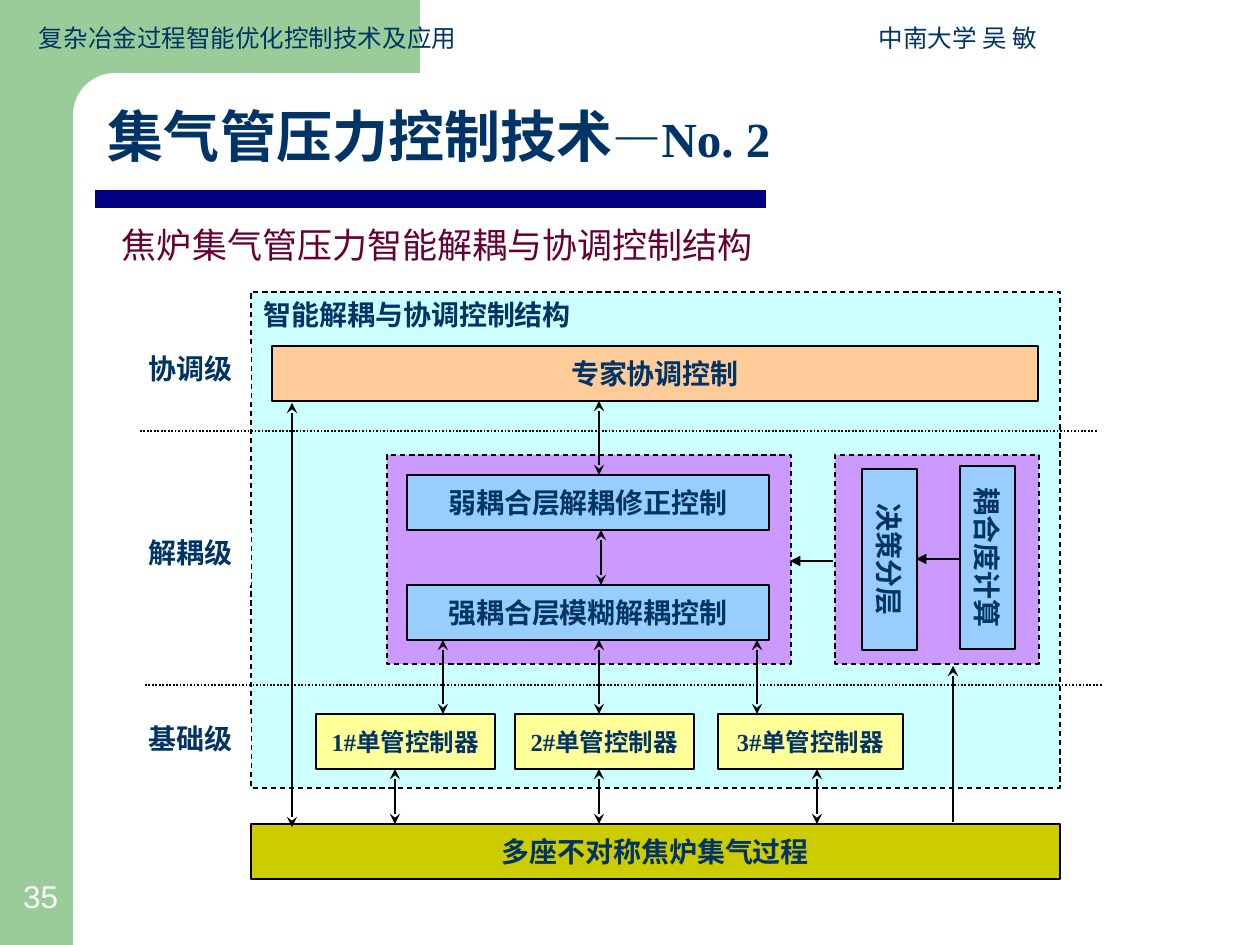
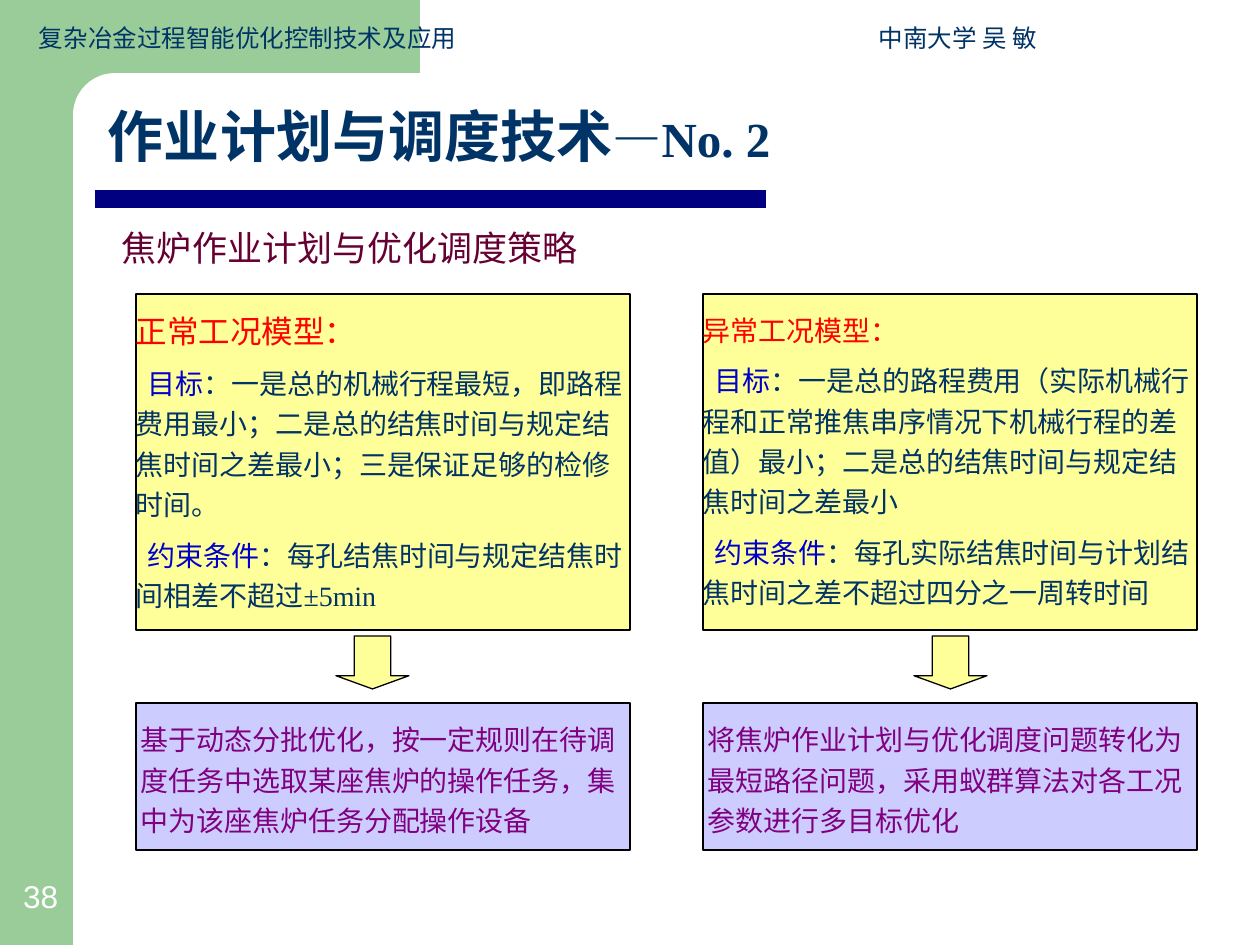
from dataclasses import dataclass
from typing import Optional

from lxml import etree
from pptx import Presentation
from pptx import util as u
from pptx.dml.color import RGBColor
from pptx.enum import dml, shapes, text
from pptx.oxml import ns

PX = 914400 / 126  # EMU in one px
WIDE, HIGH = 1260, 945

NAVY = RGBColor(0x00, 0x33, 0x66)
WINE = RGBColor(0x66, 0x00, 0x33)
BAR = RGBColor(0x00, 0x00, 0x80)
GREEN = RGBColor(0x99, 0xCC, 0x99)
WHITE = RGBColor(0xFF, 0xFF, 0xFF)
BLACK = RGBColor(0x00, 0x00, 0x00)
CYAN = RGBColor(0xCC, 0xFF, 0xFF)
VIOLET = RGBColor(0xCC, 0x99, 0xFF)
YELLOW = RGBColor(0xFF, 0xFF, 0x99)
OLIVE = RGBColor(0xCC, 0xCC, 0x00)
SKY = RGBColor(0x99, 0xCC, 0xFF)
PEACH = RGBColor(0xFF, 0xCC, 0x99)
LILAC = RGBColor(0xCC, 0xCC, 0xFF)
PURPLE = RGBColor(0x80, 0x00, 0x80)
RED = RGBColor(0xFF, 0x00, 0x00)
BLUE = RGBColor(0x00, 0x00, 0xCC)

ARIAL, TIMES, NOTO = "Arial", "Times New Roman", "Noto Sans CJK SC"
KIND = shapes.MSO_SHAPE
LEFT, MID = text.PP_ALIGN.LEFT, text.PP_ALIGN.CENTER
TOP, CENTRE, LOW = (text.MSO_ANCHOR.TOP, text.MSO_ANCHOR.MIDDLE,
                    text.MSO_ANCHOR.BOTTOM)
DASH, DOT = dml.MSO_LINE.DASH, dml.MSO_LINE.ROUND_DOT
INSET = (13, 6, 13, 6)


@dataclass
class Run:
    words: str
    size: int = 16
    ink: RGBColor = NAVY
    face: str = TIMES
    bold: bool = False


@dataclass
class Para:
    runs: list[Run]
    before: int = 0
    indent: int = 0
    pitch: Optional[float] = None


@dataclass
class Node:
    at: tuple[int, int, int, int]
    fill: RGBColor
    words: str = ""
    size: int = 16
    face: str = TIMES
    align: text.PP_ALIGN = MID
    anchor: text.MSO_ANCHOR = CENTRE
    line: Optional[RGBColor] = BLACK
    dash: Optional[dml.MSO_LINE] = None
    turn: int = 0


@dataclass
class Link:
    start: tuple[int, int]
    end: tuple[int, int]
    head: str = ""
    tail: str = ""


@dataclass
class Case:
    left: int
    arrow: int
    model: list[Para]
    method: str


def px(num: float) -> u.Emu:
    return u.Emu(round(num * PX))


def write(frame, paras: list[Para], align=LEFT, anchor=TOP,
          inset=INSET, wrap=True) -> None:
    """Fill a text frame with formatted paragraphs."""
    frame.auto_size = text.MSO_AUTO_SIZE.NONE
    frame.word_wrap = wrap
    frame.vertical_anchor = anchor
    (frame.margin_left, frame.margin_top,
     frame.margin_right, frame.margin_bottom) = map(px, inset)
    for num, para in enumerate(paras):
        par = frame.add_paragraph() if num else frame.paragraphs[0]
        par.alignment = align
        par.space_before = u.Pt(para.before)
        if para.pitch:
            par.line_spacing = para.pitch
        if para.indent:
            par._p.get_or_add_pPr().set("indent", str(px(para.indent)))
        for item in para.runs:
            run = par.add_run()
            run.text = item.words
            font = run.font
            font.size, font.bold = u.Pt(item.size), item.bold
            font.color.rgb, font.name = item.ink, item.face
            # East Asian face sits right after the Latin one
            east = etree.SubElement(run._r.get_or_add_rPr(), ns.qn("a:ea"))
            east.set("typeface", NOTO)


def shape(slide, kind, at, fill: RGBColor, line=None, dash=None):
    item = slide.shapes.add_shape(kind, *map(px, at))
    item.shadow.inherit = False
    item.fill.solid()
    item.fill.fore_color.rgb = fill
    if line is None:
        item.line.fill.background()
    else:
        item.line.color.rgb = line
        item.line.width = u.Pt(0.75)
        if dash:
            item.line.dash_style = dash
    return item


def label(slide, at, paras: list[Para], **style):
    box = slide.shapes.add_textbox(*map(px, at))
    write(box.text_frame, paras, **style)
    return box


def node(slide, part: Node) -> None:
    item = shape(slide, KIND.RECTANGLE, part.at, part.fill, part.line, part.dash)
    item.rotation = part.turn
    if part.words:
        run = Run(part.words, part.size, face=part.face, bold=True)
        write(item.text_frame, [Para([run])], part.align, part.anchor,
              wrap=part.align == LEFT)


def line(slide, link: Link, ink=BLACK, width=0.75, dash=None) -> None:
    item = slide.shapes.add_connector(
        shapes.MSO_CONNECTOR.STRAIGHT, *map(px, link.start + link.end))
    item.line.color.rgb = ink
    item.line.width = u.Pt(width)
    if dash:
        item.line.dash_style = dash
    edge = item.line._get_or_add_ln()
    for tag, tip in (("a:headEnd", link.head), ("a:tailEnd", link.tail)):
        if tip:
            etree.SubElement(edge, ns.qn(tag)).set("type", tip)
    etree.SubElement(item._element.spPr, ns.qn("a:effectLst"))


def both(x: int, top: int, low: int) -> Link:
    return Link((x, top), (x, low), "stealth", "stealth")


def base(deck, title: str, lead: str, lead_y: int, page: int):
    """Add a slide with the shared bands, title, header and page number."""
    slide = deck.slides.add_slide(deck.slide_layouts[5])
    # Green bands and the rounded corner
    shape(slide, KIND.RECTANGLE, (0, 0, 73, HIGH), GREEN)
    shape(slide, KIND.RECTANGLE, (73, 0, 347, 116), GREEN)
    curve = shape(slide, KIND.ROUNDED_RECTANGLE, (73, 73, 703, 84), WHITE)
    curve.adjustments[0] = 0.5
    # Title, lifted above the bands
    head = slide.shapes.title
    slide.shapes._spTree.append(head._element)
    head.left, head.top, head.width, head.height = map(px, (95, 95, 1112, 81))
    write(head.text_frame, [Para([Run(title, 32, bold=True),
                                  Run("—No. 2", 28, bold=True)])])
    line(slide, Link((95, 199), (766, 199)), BAR, 10)
    # Lead line, 35 px a character
    label(slide, (109, lead_y, 35 * len(lead) + 26, 55),
          [Para([Run(lead, 20, WINE, ARIAL)])], wrap=False)
    # Running header with a tab stop before the author
    top = slide.shapes.add_textbox(*map(px, (26, 15, 1207, 43)))
    props = top.text_frame.paragraphs[0]._p.get_or_add_pPr()
    tabs = etree.SubElement(props, ns.qn("a:tabLst"))
    stop = etree.SubElement(tabs, ns.qn("a:tab"))
    stop.set("pos", str(px(840)))
    stop.set("algn", "l")
    write(top.text_frame,
          [Para([Run("复杂冶金过程智能优化控制技术及应用\t中南大学 吴 敏",
                     14, face=ARIAL)])], anchor=LOW)
    label(slide, (0, 871, 81, 50), [Para([Run(str(page), 18, WHITE, ARIAL)])],
          align=MID, anchor=LOW)
    return slide


def control(deck) -> None:
    slide = base(deck, "集气管压力控制技术",
                 "焦炉集气管压力智能解耦与协调控制结构", 217, 35)
    # Frames and blocks
    parts = [
        Node((251, 292, 809, 496), CYAN, "智能解耦与协调控制结构",
             align=LEFT, anchor=TOP, dash=DASH),
        Node((835, 455, 204, 209), VIOLET, dash=DASH),
        Node((387, 455, 404, 209), VIOLET, dash=DASH),
        Node((251, 824, 809, 55), OLIVE, "多座不对称焦炉集气过程"),
        Node((407, 585, 362, 55), SKY, "强耦合层模糊解耦控制"),
        Node((407, 475, 362, 55), SKY, "弱耦合层解耦修正控制"),
        Node((272, 346, 766, 55), PEACH, "专家协调控制"),
        Node((896, 530, 183, 55), SKY, "耦合度计算", face=ARIAL, turn=90),
        Node((799, 532, 181, 55), SKY, "决策分层", face=ARIAL, turn=90),
    ]
    for num, (x, wide) in enumerate(((316, 179), (515, 179), (718, 185)), 1):
        parts.append(Node((x, 714, wide, 55), YELLOW, f"{num}#单管控制器", 14))
    for y, words in ((346, "协调级"), (530, "解耦级"), (716, "基础级")):
        parts.append(Node((136, y, 115, 55), WHITE, words, align=LEFT,
                          anchor=TOP, line=None))
    for part in parts:
        node(slide, part)
    # Arrows
    links = [Link((833, 561), (790, 561), tail="triangle"),
             Link((959, 559), (916, 559), tail="triangle"),
             Link((953, 822), (953, 666), tail="stealth"),
             both(601, 530, 585), both(599, 401, 475), both(292, 403, 827)]
    links += [both(x, 769, 824) for x in (395, 599, 817)]
    links += [both(x, 640, 714) for x in (443, 599, 757)]
    for link in links:
        line(slide, link)
    # Level dividers
    for x, y in ((140, 431), (145, 685)):
        line(slide, Link((x, y), (x + 957, y)), width=1, dash=DOT)


def model(name: str, size: int, goal: str, limit: str, tail="") -> list[Para]:
    paras = [Para([Run(name, size, RED, NOTO)], pitch=1.2)]
    for key, words in (("目标", goal), ("约束条件", limit)):
        runs = [Run(key, ink=BLUE, face=NOTO), Run("：" + words, face=NOTO)]
        paras.append(Para(runs, 6, 12, 1.2))
    if tail:
        paras[-1].runs.append(Run(tail))
    return paras


def plan(deck) -> None:
    slide = base(deck, "作业计划与调度技术", "焦炉作业计划与优化调度策略", 220, 38)
    cases = [
        Case(136, 336, model(
            "正常工况模型：", 18,
            "一是总的机械行程最短，即路程费用最小；二是总的结焦时间与规定结焦时间之差最小；"
            "三是保证足够的检修时间。",
            "每孔结焦时间与规定结焦时间相差不超过", "±5min"),
            "基于动态分批优化，按一定规则在待调度任务中选取某座焦炉的操作任务，"
            "集中为该座焦炉任务分配操作设备"),
        Case(703, 914, model(
            "异常工况模型：", 16,
            "一是总的路程费用（实际机械行程和正常推焦串序情况下机械行程的差值）最小；"
            "二是总的结焦时间与规定结焦时间之差最小",
            "每孔实际结焦时间与计划结焦时间之差不超过四分之一周转时间"),
            "将焦炉作业计划与优化调度问题转化为最短路径问题，"
            "采用蚁群算法对各工况参数进行多目标优化"),
    ]
    # Each case: model, arrow, method
    for case in cases:
        top = shape(slide, KIND.RECTANGLE, (case.left, 294, 494, 336),
                    YELLOW, BLACK)
        write(top.text_frame, case.model, anchor=CENTRE, inset=(0, 0, 0, 8))
        arrow = shape(slide, KIND.DOWN_ARROW, (case.arrow, 636, 73, 53),
                      YELLOW, BLACK)
        arrow.adjustments[0], arrow.adjustments[1] = 0.5, 0.25
        low = shape(slide, KIND.RECTANGLE, (case.left, 703, 494, 147),
                    LILAC, BLACK)
        write(low.text_frame,
              [Para([Run(case.method, ink=PURPLE, face=NOTO)], pitch=1.2)],
              anchor=CENTRE, inset=(5, 5, 5, 5))


def main() -> None:
    deck = Presentation()
    deck.slide_width, deck.slide_height = px(WIDE), px(HIGH)
    control(deck)
    plan(deck)
    deck.save("out.pptx")


if __name__ == "__main__":
    main()
